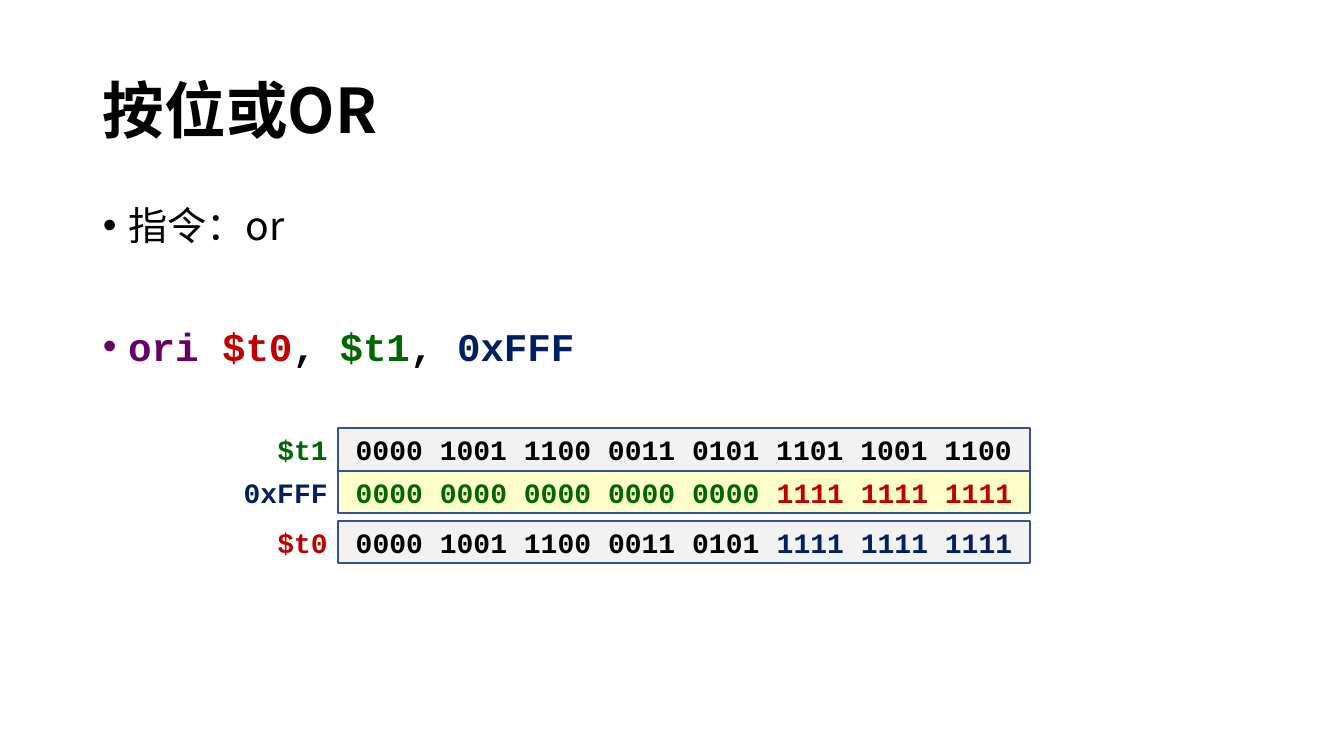
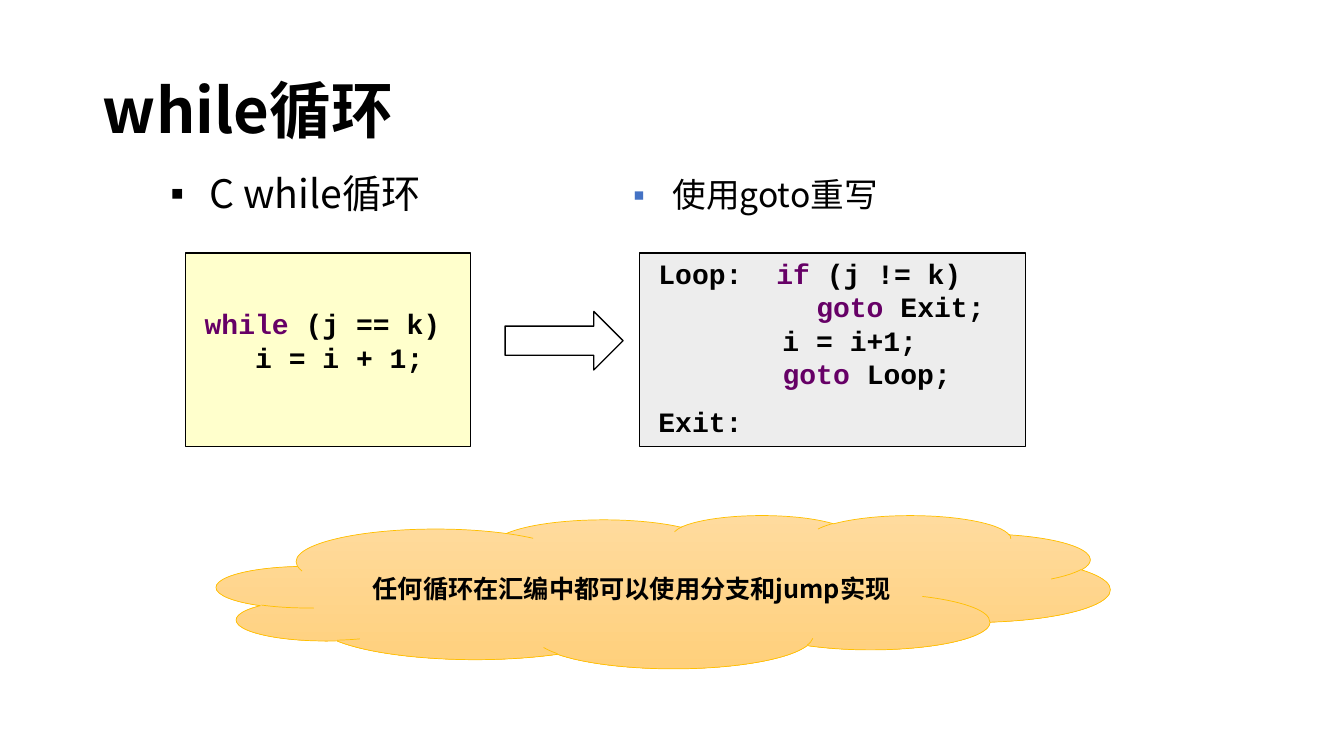
from lxml import etree
from pptx import Presentation
from pptx.dml.color import RGBColor
from pptx.enum.shapes import MSO_SHAPE as Shape
from pptx.enum.text import MSO_ANCHOR as Anchor, MSO_AUTO_SIZE as AutoSize, PP_ALIGN as Align
from pptx.oxml.ns import qn
from pptx.util import Pt

PX = 9144  # EMU in one px, 100 px to the inch
SANS, MONO = "Noto Sans CJK SC", "Courier New"
COLOURS = {
    "black": "000000", "white": "FFFFFF", "keyword": "660066",
    "red": "C00000", "green": "006600", "navy": "002060",
    "bullet": "4472C4", "grey": "F2F2F2", "code grey": "EDEDED",
    "yellow": "FFFFCC", "row line": "325491", "cloud line": "FFC000",
    "cloud top": "FFDB9E", "cloud bottom": "FFD07C",
}


def rgb(name):
    return RGBColor.from_string(COLOURS[name])


class Deck:
    def __init__(self, width, height):
        self.prs = Presentation()
        self.prs.slide_width, self.prs.slide_height = width * PX, height * PX
        self.slide = None

    def add_slide(self, title, layout):
        self.slide = self.prs.slides.add_slide(self.prs.slide_layouts[layout])
        heading = self.slide.shapes.title
        self.place(heading, 92, 40, 1150, 145)
        frame = self.frame(heading, Anchor.MIDDLE)
        self.fill_text(frame.paragraphs[0], [(title, "black")], 44, SANS, True, spacing=0.9)

    def place(self, shape, *box):
        shape.left, shape.top, shape.width, shape.height = (n * PX for n in box)

    def frame(self, shape, anchor, wrap=True):
        frame = shape.text_frame
        frame.auto_size = AutoSize.NONE
        frame.word_wrap = wrap
        frame.vertical_anchor = anchor
        return frame

    def fill_text(self, paragraph, pieces, size, font, bold=False, align=Align.LEFT, spacing=1.0):
        """Fill a paragraph with (text, colour) pieces; a newline is a line break."""
        paragraph.alignment = align
        paragraph.line_spacing = spacing
        for text, colour in pieces:
            for number, line in enumerate(text.split("\n")):
                if number:
                    paragraph.add_line_break()
                if not line:
                    continue
                run = paragraph.add_run()
                run.text = line
                run.font.size, run.font.bold, run.font.name = Pt(size), bold, font
                run.font.color.rgb = rgb(colour)
                east_asian = etree.SubElement(run.font._element, qn("a:ea"))
                east_asian.set("typeface", SANS)

    def indent(self, paragraph, hang):
        props = paragraph._p.get_or_add_pPr()
        props.set("marL", str(hang * PX))
        props.set("indent", str(-hang * PX))
        return props

    def bullet(self, paragraph, mark, hang, colour=None):
        props = self.indent(paragraph, hang)
        if colour:
            tint = etree.SubElement(props, qn("a:buClr"))
            etree.SubElement(tint, qn("a:srgbClr")).set("val", COLOURS[colour])
        etree.SubElement(props, qn("a:buFont")).set("typeface", "Arial")
        etree.SubElement(props, qn("a:buChar")).set("char", mark)

    def bullets(self, index, box, items, mark, hang, size=28, gap=0, spacing=0.9, colour=None):
        """Fill a body placeholder; each item is (pieces, font, bold)."""
        body = self.slide.placeholders[index]
        self.place(body, *box)
        frame = self.frame(body, Anchor.TOP)
        for number, (pieces, font, bold) in enumerate(items):
            paragraph = frame.add_paragraph() if number else frame.paragraphs[0]
            self.fill_text(paragraph, pieces, size, font, bold, spacing=spacing)
            paragraph.space_before = Pt(gap if number else 0)
            self.bullet(paragraph, mark, hang, colour)

    def shape(self, kind, box, fill, line, weight):
        shape = self.slide.shapes.add_shape(kind, *(n * PX for n in box))
        shape.shadow.inherit = False
        if fill:
            shape.fill.solid()
            shape.fill.fore_color.rgb = rgb(fill)
        shape.line.color.rgb = rgb(line)
        shape.line.width = Pt(weight)
        return shape

    def register(self, top, name, colour, bits, fill):
        """One row of bits with its name on the left."""
        left, height = 335, 42
        label = self.slide.shapes.add_textbox(*(n * PX for n in (left - 120, top, 120, height)))
        row = self.shape(Shape.RECTANGLE, (left, top, 687, height), fill, "row line", 1.5)
        for part, pieces, align in ((label, [(name, colour)], Align.RIGHT), (row, bits, Align.CENTER)):
            frame = self.frame(part, Anchor.MIDDLE)
            self.fill_text(frame.paragraphs[0], pieces, 20, MONO, True, align)

    def code(self, box, fill, blocks, top_inset, hang=0):
        listing = self.shape(Shape.RECTANGLE, box, fill, "black", 0.75)
        frame = self.frame(listing, Anchor.TOP, wrap=False)
        frame.margin_left, frame.margin_top = 19 * PX, top_inset * PX
        frame.margin_right, frame.margin_bottom = 2 * PX, 3 * PX
        for number, pieces in enumerate(blocks):
            paragraph = frame.add_paragraph() if number else frame.paragraphs[0]
            self.fill_text(paragraph, pieces, 20, MONO, True)
            paragraph.space_before = Pt(10 if number else 0)
            self.indent(paragraph, hang)

    def cloud(self, box, text):
        cloud = self.shape(Shape.CLOUD, box, None, "cloud line", 0.5)
        cloud.fill.gradient()
        cloud.fill.gradient_angle = 270
        for stop, colour in zip(cloud.fill.gradient_stops, ("cloud top", "cloud bottom")):
            stop.color.rgb = rgb(colour)
        frame = self.frame(cloud, Anchor.MIDDLE)
        self.fill_text(frame.paragraphs[0], [(text, "black")], 18, SANS, True, Align.CENTER)


def or_slide(deck):
    deck.add_slide("按位或OR", layout=1)
    instruction = [("ori ", "keyword"), ("$t0", "red"), (", ", "black"),
                   ("$t1", "green"), (", ", "black"), ("0xFFF", "navy")]
    deck.bullets(1, (92, 200, 1150, 184),
                 [([("指令：or", "black")], SANS, False), (instruction, MONO, True)],
                 "•", 25, gap=56)

    # Operands and result
    high, ones = "0000 1001 1100 0011 0101 ", "1111 1111 1111"
    deck.register(425, "$t1", "green", [(high + "1101 1001 1100", "black")], "grey")
    deck.register(467, "0xFFF", "navy", [("0000 " * 5, "green"), (ones, "red")], "yellow")
    deck.register(517, "$t0", "red", [(high, "black"), (ones, "navy")], "grey")


def while_slide(deck):
    deck.add_slide("while循环", layout=3)
    deck.bullets(1, (159, 168, 442, 292), [([("C while循环", "black")], SANS, False)], "▪", 39)
    deck.bullets(2, (618, 168, 442, 300), [([("使用goto重写", "black")], SANS, False)],
                 "▪", 39, size=24, spacing=1.0, colour="bullet")

    # Loop and its rewriting
    deck.code((184, 251, 283, 192), "yellow",
              [[("while", "keyword"), (" (j == k)\n   i = i + 1;", "black")]], top_inset=53)
    deck.code((634, 251, 383, 192), "code grey",
              [[("Loop:  ", "black"), ("if", "keyword"), (" (j != k)\n        ", "black"),
                ("goto", "keyword"), (" Exit;\n      i = i+1;\n      ", "black"),
                ("goto", "keyword"), (" Loop;", "black")],
               [("Exit:", "black")]], top_inset=3, hang=23)
    deck.shape(Shape.RIGHT_ARROW, (501, 309, 117, 58), "white", "black", 1)

    # Conclusion
    deck.cloud((215, 511, 886, 152), "任何循环在汇编中都可以使用分支和jump实现")


def main():
    deck = Deck(1333, 750)
    or_slide(deck)
    while_slide(deck)
    deck.prs.save("out.pptx")


if __name__ == "__main__":
    main()
